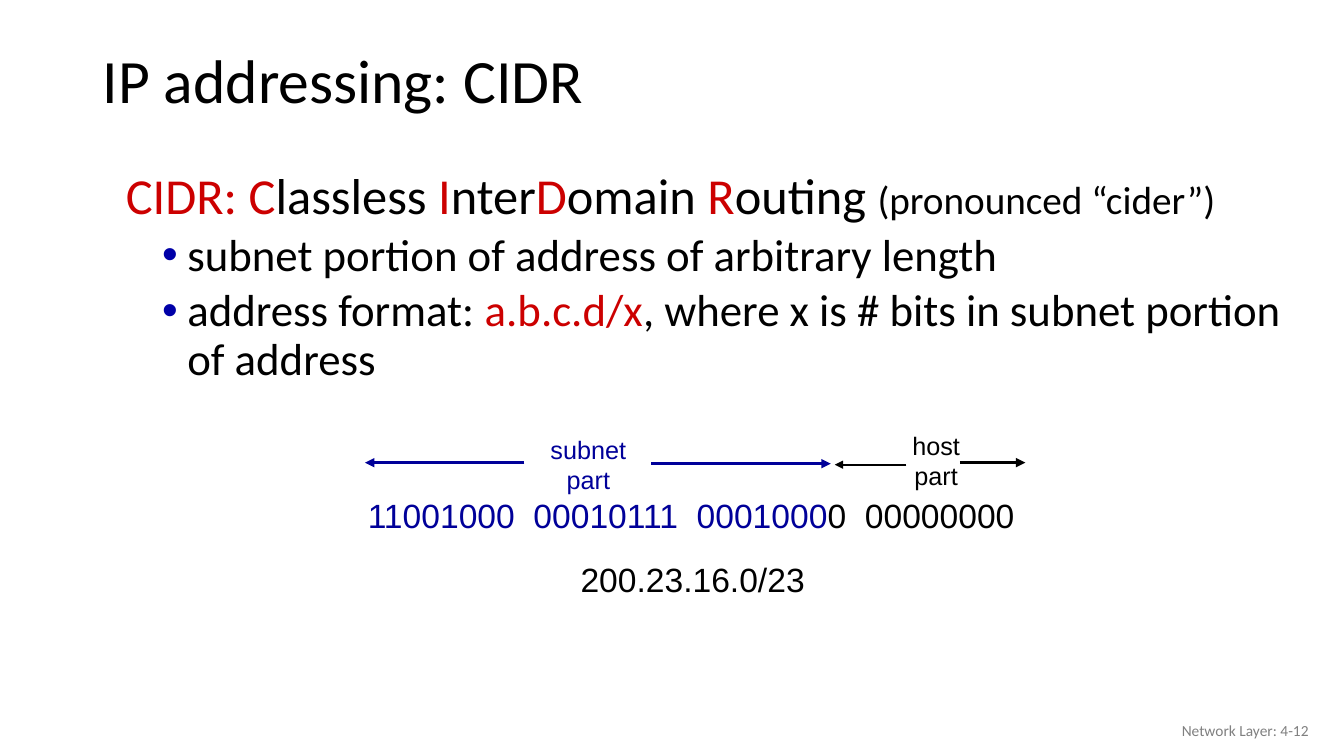
from lxml import etree
from pptx import Presentation
from pptx.dml.color import RGBColor
from pptx.enum import shapes, text
from pptx.oxml import ns
from pptx.util import Inches, Pt

HUES = {
    "black": "000000",
    "red": "CC0000",
    "navy": "000099",
    "dot": "0000A8",
    "gray": "808080",
}
LEFT, MID, RIGHT = text.PP_ALIGN.LEFT, text.PP_ALIGN.CENTER, text.PP_ALIGN.RIGHT


def add_node(base, tag, **attrs):
    return etree.SubElement(base, ns.qn(tag), **attrs)


def add_runs(para, runs, size, font="Calibri"):
    for words, hue, *own in runs:
        run = para.add_run()
        run.text = words
        run.font.name = font
        run.font.size = Pt(own[0] if own else size)
        run.font.color.rgb = RGBColor.from_string(HUES[hue])


def add_box(slide, spot, wrap=True, anchor=text.MSO_ANCHOR.TOP):
    frame = slide.shapes.add_textbox(*map(Inches, spot)).text_frame
    frame.word_wrap = wrap
    frame.vertical_anchor = anchor
    return frame


def add_line(slide, spot, words, size, hue, align=LEFT):
    frame = add_box(slide, spot, anchor=text.MSO_ANCHOR.MIDDLE)
    para = frame.paragraphs[0]
    para.alignment = align
    add_runs(para, [(words, hue)], size)
    return para


def add_label(slide, spot, lines, size, align=LEFT):
    frame = add_box(slide, spot, wrap=False)
    for i, runs in enumerate(lines):
        para = frame.add_paragraph() if i else frame.paragraphs[0]
        para.alignment = align
        add_runs(para, runs, size, "Arial")


def set_indent(para, margin, indent):
    props = para._p.get_or_add_pPr()
    props.set("marL", str(Inches(margin)))
    props.set("indent", str(Inches(indent)))
    return props


def add_bullet(frame, runs):
    para = frame.add_paragraph()
    para.level = 1
    para.line_spacing = 0.9
    para.space_before = Pt(5)
    props = set_indent(para, 0.76, -0.25)
    color = add_node(props, "a:buClr")
    add_node(color, "a:srgbClr", val=HUES["dot"])
    add_node(props, "a:buFont", typeface="Arial")
    add_node(props, "a:buChar", char="•")
    add_runs(para, runs, 32)


def add_body(slide):
    frame = add_box(slide, (1, 1.65, 12.13, 2.27))
    head = frame.paragraphs[0]
    head.line_spacing = 0.9
    head.space_before = Pt(10)
    set_indent(head, 0.39, -0.24)
    add_runs(head, [
        ("CIDR: C", "red"), ("lassless ", "black"),
        ("I", "red"), ("nter", "black"),
        ("D", "red"), ("omain ", "black"),
        ("R", "red"), ("outing ", "black"),
        ("(pronounced “cider”)", "black", 28),
    ], 36)
    add_bullet(frame, [("subnet portion of address of arbitrary length", "black")])
    add_bullet(frame, [
        ("address format: ", "black"),
        ("a.b.c.d/x", "red"),
        (", where x is # bits in subnet portion of address", "black"),
    ])


def add_arrow(slide, start, end, y, hue, width=2.25):
    ends = map(Inches, (start, y, end, y))
    arrow = slide.shapes.add_connector(shapes.MSO_CONNECTOR.STRAIGHT, *ends)
    arrow.line.color.rgb = RGBColor.from_string(HUES[hue])
    arrow.line.width = Pt(width)
    add_node(arrow.line._get_or_add_ln(), "a:tailEnd", type="triangle")
    add_node(arrow._element.spPr, "a:effectLst")


def add_format(slide):
    bits = [("11001000  00010111  0001000", "navy"), ("0  00000000", "black")]
    add_label(slide, (3.55, 4.86, 6.7, 0.5), [bits], 24)
    add_label(slide, (5.66, 5.5, 2.43, 0.5), [[("200.23.16.0/23", "black")]], 24)
    for name, hue, spot in (
        ("subnet", "navy", (5.36, 4.26, 0.95, 0.7)),
        ("host", "black", (8.95, 4.22, 0.67, 0.7)),
    ):
        add_label(slide, spot, [[(name, hue)], [("part", hue)]], 18, MID)
    add_arrow(slide, 5.2, 3.62, 4.59, "navy")
    add_arrow(slide, 6.46, 8.24, 4.6, "navy")
    add_arrow(slide, 8.99, 8.28, 4.61, "black", 1.5)
    add_arrow(slide, 9.52, 10.17, 4.59, "black")


def main():
    deck = Presentation()
    deck.slide_width, deck.slide_height = Inches(13.33), Inches(7.5)
    slide = deck.slides.add_slide(deck.slide_layouts[6])
    title = add_line(slide, (0.92, 0.34, 11.5, 0.98), "IP addressing: CIDR", 44, "black")
    title.line_spacing = 0.9
    add_body(slide)
    add_format(slide)
    add_line(slide, (10.08, 7.05, 3, 0.4), "Network Layer: 4-12", 11, "gray", RIGHT)
    deck.save("out.pptx")


if __name__ == "__main__":
    main()
